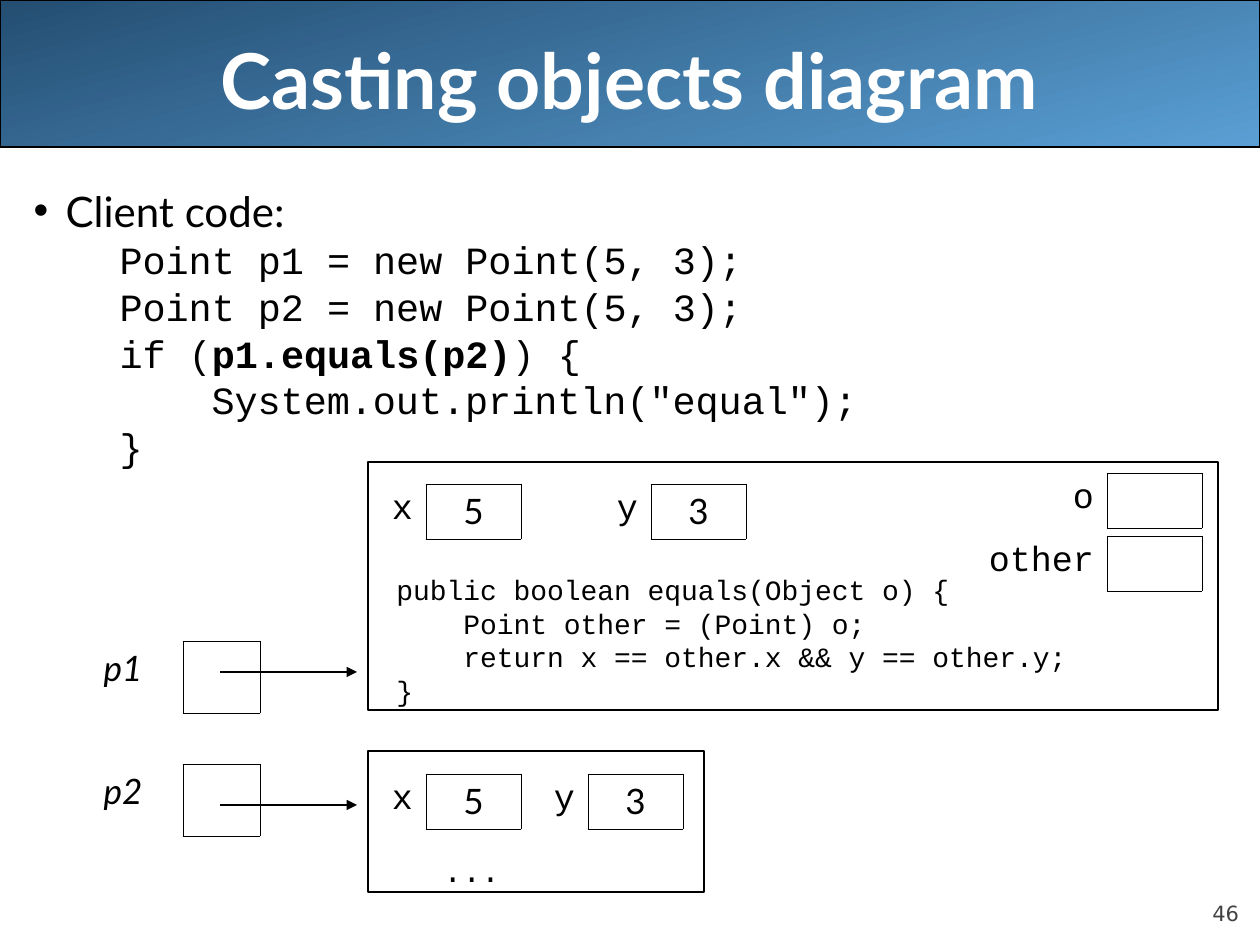
from dataclasses import dataclass

from lxml.etree import SubElement
from pptx import Presentation
from pptx.dml.color import RGBColor as RGB
from pptx.enum.shapes import MSO_CONNECTOR as CONN, MSO_SHAPE as SHAPE
from pptx.enum.text import MSO_ANCHOR as ANCHOR, MSO_AUTO_SIZE as AUTO, PP_ALIGN as ALIGN
from pptx.oxml.ns import qn
from pptx.util import Emu, Pt

COLORS = {
    "black": "000000", "white": "FFFFFF", "number": "424242",
    "dark": "244E72", "light": "5A9FD4",
}
SANS, MONO = "Lato", "Courier New"


@dataclass
class Cell:
    text: str
    width: int
    boxed: bool = False
    font: str = MONO
    italic: bool = False
    align: ALIGN = ALIGN.RIGHT


@dataclass
class Variables:
    x: int
    y: int
    cells: list[Cell]
    height: int = 55


@dataclass
class ObjectBox:
    x: int
    y: int
    w: int
    h: int
    size: int
    lines: list[tuple[str, int]]


def px(n: float) -> Emu:
    return Emu(round(n * 9144000 / 1260))


def rgb(name: str) -> RGB:
    return RGB.from_string(COLORS[name])


def write(p, text: str, *, size: float, font: str = MONO, color: str = "black",
          bold: bool = False, italic: bool = False, align=ALIGN.LEFT,
          before: float = 0, spacing: float = 1.0, margin: int = 0,
          hanging: int = 0, bullet: str = "") -> None:
    r = p.add_run()
    r.text = text
    f = r.font
    f.size, f.name, f.bold, f.italic = Pt(size), font, bold, italic
    f.color.rgb = rgb(color)
    p.alignment, p.space_before, p.line_spacing = align, Pt(before), spacing
    pPr = p._p.get_or_add_pPr()
    pPr.set("marL", str(px(margin)))
    pPr.set("indent", str(px(-hanging)))
    for tag in ("a:buNone", "a:buChar"):
        for old in pPr.findall(qn(tag)):
            pPr.remove(old)
    if bullet:
        SubElement(pPr, qn("a:buChar"), char=bullet)
    else:
        SubElement(pPr, qn("a:buNone"))


def place(sp, x: int, y: int, w: int, h: int, anchor=ANCHOR.TOP):
    sp.left, sp.top, sp.width, sp.height = map(px, (x, y, w, h))
    tf = sp.text_frame
    tf.word_wrap, tf.auto_size, tf.vertical_anchor = True, AUTO.NONE, anchor
    return tf


def next_paragraph(tf, i: int):
    return tf.paragraphs[0] if i == 0 else tf.add_paragraph()


def add_header(s) -> None:
    sp = s.shapes.add_shape(SHAPE.ROUNDED_RECTANGLE, 0, 0, px(1260), px(147))
    sp.adjustments[0] = 0
    sp.shadow.inherit = False
    sp.line.color.rgb, sp.line.width = rgb("black"), Pt(0.75)
    sp.fill.gradient()
    sp.fill.gradient_angle = 285
    for stop, name, pos in zip(sp.fill.gradient_stops, ("dark", "light"), (0, 1)):
        stop.color.rgb, stop.position = rgb(name), pos
    title = s.shapes.title
    title.element.addprevious(sp.element)
    tf = place(title, 63, 0, 1134, 158, ANCHOR.MIDDLE)
    write(tf.paragraphs[0], "Casting objects diagram", size=44, font=SANS,
          color="white", bold=True, align=ALIGN.CENTER)


def add_client_code(s) -> None:
    tf = place(s.placeholders[1], 21, 179, 1239, 714)
    write(tf.paragraphs[0], "Client code:", size=24, font=SANS, before=6,
          margin=32, hanging=32, bullet="•")
    lines = [
        (86, [("Point p1 = new Point(5, 3);", False)]),
        (86, [("Point p2 = new Point(5, 3);", False)]),
        (86, [("if (", False), ("p1.equals(p2)", True), (") {", False)]),
        (178, [('System.out.println("equal");', False)]),
        (86, [("}", False)]),
    ]
    for margin, runs in lines:
        p = tf.add_paragraph()
        p.level = 1
        for text, bold in runs:
            write(p, text, size=22, bold=bold, before=5.5, spacing=0.8, margin=margin)


def add_object(s, box: ObjectBox) -> None:
    sp = s.shapes.add_shape(SHAPE.RECTANGLE, 0, 0, 0, 0)
    sp.shadow.inherit = False
    sp.fill.background()
    sp.line.color.rgb, sp.line.width = rgb("black"), Pt(0.75)
    tf = place(sp, box.x, box.y, box.w, box.h, ANCHOR.BOTTOM)
    tf.margin_bottom = px(3)
    for i, (text, margin) in enumerate(box.lines):
        write(next_paragraph(tf, i), text, size=box.size, margin=margin)


def set_border(cell, side: str, visible: bool) -> None:
    ln = SubElement(cell._tc.get_or_add_tcPr(), qn(f"a:ln{side}"), w=str(Pt(0.45)))
    if visible:
        fill = SubElement(ln, qn("a:solidFill"))
        SubElement(fill, qn("a:srgbClr"), val=COLORS["black"])
    else:
        SubElement(ln, qn("a:noFill"))


def add_variables(s, group: Variables) -> None:
    cells = group.cells
    width = sum(c.width for c in cells)
    table = s.shapes.add_table(1, len(cells), px(group.x), px(group.y),
                               px(width), px(group.height)).table
    table.first_row = table.horz_banding = False
    boxed = [False, *(c.boxed for c in cells), False]
    for i, c in enumerate(cells):
        table.columns[i].width = px(c.width)
        cell = table.cell(0, i)
        cell.margin_left = px(0)
        cell.margin_right = px(13 if c.align == ALIGN.RIGHT else 0)
        set_border(cell, "L", c.boxed or boxed[i])
        set_border(cell, "R", c.boxed or boxed[i + 2])
        set_border(cell, "T", c.boxed)
        set_border(cell, "B", c.boxed)
        cell.fill.background()
        if c.text:
            write(cell.text_frame.paragraphs[0], c.text, size=20, font=c.font,
                  italic=c.italic, align=c.align)


def add_arrow(s, x1: int, x2: int, y: int) -> None:
    c = s.shapes.add_connector(CONN.STRAIGHT, px(x1), px(y), px(x2), px(y))
    c.line.color.rgb, c.line.width = rgb("black"), Pt(1.5)
    SubElement(c.line._get_or_add_ln(), qn("a:tailEnd"), type="triangle")
    SubElement(c.element.spPr, qn("a:effectLst"))


def field(name: str, value: str = "", label_width: int = 47) -> list[Cell]:
    return [Cell(name, label_width),
            Cell(value, 95, True, SANS, align=ALIGN.CENTER)]


def reference(name: str, y: int) -> Variables:
    label = Cell(name, 120, font=SANS, italic=True, align=ALIGN.CENTER)
    return Variables(63, y, [label, Cell("", 77, True)], 72)


def main() -> None:
    prs = Presentation()
    prs.slide_width, prs.slide_height = px(1260), px(945)
    s = prs.slides.add_slide(prs.slide_layouts[1])
    add_header(s)
    add_client_code(s)
    for box in (
        ObjectBox(368, 462, 850, 248, 16, [
            ("public boolean equals(Object o) {", 16),
            ("Point other = (Point) o;", 83),
            ("return x == other.x && y == other.y;", 83),
            ("}", 16),
        ]),
        ObjectBox(368, 751, 336, 141, 18, [("...", 63)]),
    ):
        add_object(s, box)
    for group in (
        Variables(379, 484, field("x", "5") + field("y", "3", 130)),
        Variables(379, 774, field("x", "5") + field("y", "3", 67)),
        Variables(1060, 473, field("o")),
        Variables(977, 536, field("other", label_width=130)),
        reference("p1", 641),
        reference("p2", 764),
    ):
        add_variables(s, group)
    for y in (672, 805):
        add_arrow(s, 220, 357, y)
    tf = place(s.shapes.add_textbox(0, 0, 0, 0), 1134, 876, 105, 50, ANCHOR.BOTTOM)
    tf.margin_left = tf.margin_right = tf.margin_top = tf.margin_bottom = 0
    write(tf.paragraphs[0], "46", size=12, font="DejaVu Sans", color="number",
          align=ALIGN.RIGHT)
    prs.save("out.pptx")


if __name__ == "__main__":
    main()
